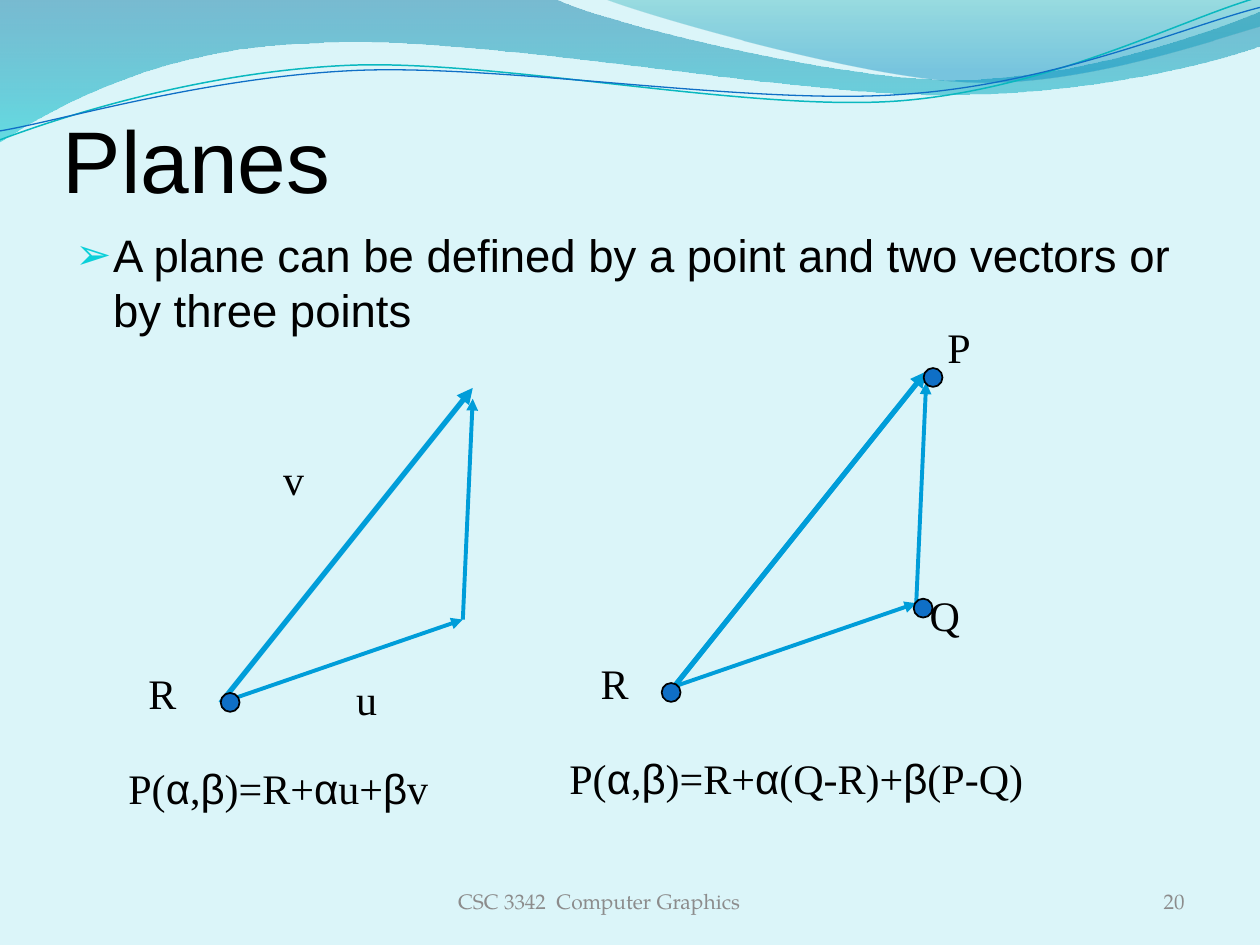
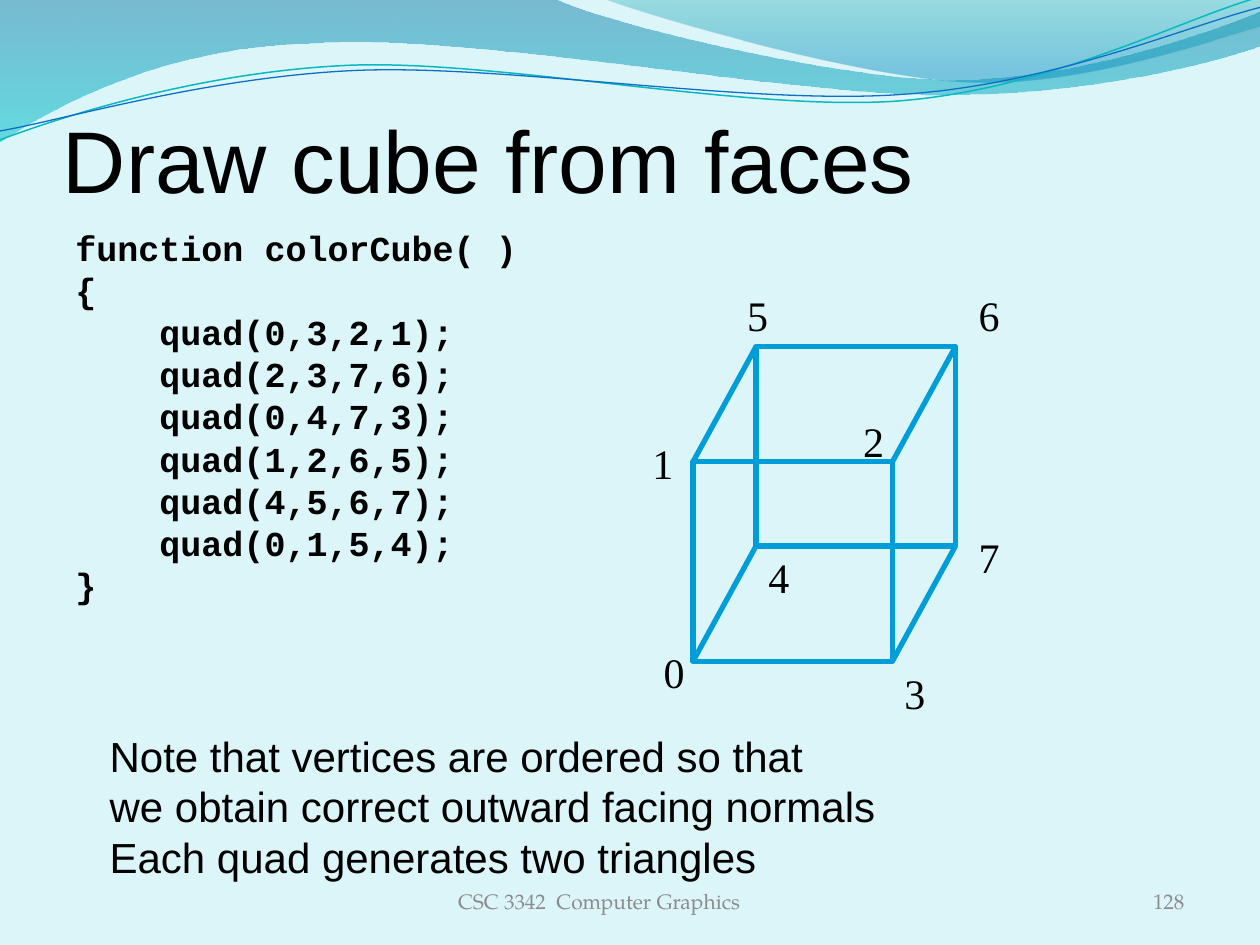
from dataclasses import dataclass
from itertools import chain, groupby, product

from lxml.etree import SubElement
from pptx import Presentation
from pptx.dml.color import RGBColor
from pptx.enum.shapes import MSO_CONNECTOR as Connector, MSO_SHAPE as Preset
from pptx.enum.text import MSO_ANCHOR as Anchor, MSO_AUTO_SIZE as AutoSize, PP_ALIGN as Align
from pptx.oxml.ns import qn
from pptx.util import Cm, Pt


@dataclass(frozen=True)
class Theme:
    background: str = "DBF5F9"
    ink: str = "000000"
    muted: str = "8C8C8C"
    bullet: str = "0BD0D9"
    stroke: str = "009DD9"
    dot: str = "0F6FC6"
    teal: str = "0AB8BF"
    band: tuple = ((0, "0074A1", 45), (1, "00C6CF", 55))
    crest: tuple = ((0, "00A1A9", 30), (0.8, "008BBF", 45))
    sans: str = "Arial"
    serif: str = "Times New Roman"
    mono: str = "Courier New"
    footer_font: str = "TeX Gyre Pagella"
    title_size: float = 50
    body_size: float = 26
    label_size: float = 24
    code_size: float = 20
    footer_size: float = 12
    leading: float = 1.2
    thick: float = 3
    medium: float = 2.25


BAND = [(0, 0), [(11.18, -0.03)],
        [(12.09, 0.43), (16.87, 1.6), (19.25, 1.6)],
        [(21.67, 1.6), (24.33, 0.66), (25.4, 0.23)],
        [(25.43, 0.91)],
        [(24.97, 1.12), (22.1, 1.93), (18.95, 1.91)],
        [(15.8, 1.91), (9.7, 0.71), (6.53, 0.86)],
        [(3.28, 0.91), (1.17, 2.11), (-0.03, 2.87)],
        [(0, 0)]]
CREST = [(12.17, -0.03),
         [(12.93, 0.28), (17.32, 1.57), (19.53, 1.65)],
         [(21.74, 1.75), (24.41, 0.81), (25.4, 0.53)],
         [(25.4, 0)],
         [(12.17, -0.03)]]
TEAL_WAVE = [(-0.05, 2.22),
             [(1.19, 1.82), (4.02, 1.04), (7.05, 1.05)],
             [(10.05, 1.07), (15.02, 2.37), (18.08, 2.29)],
             [(21.13, 2.2), (23.86, 0.91), (25.41, 0.55)]]
BLUE_WAVE = [(-0.04, 2.04),
             [(1.16, 1.9), (4.17, 1.15), (7.2, 1.16)],
             [(10.25, 1.18), (15.13, 2.25), (18.19, 2.16)],
             [(21.21, 2.1), (23.93, 1.06), (25.45, 0.75)]]

COLOR_CUBE = """function colorCube( )
{
    quad(0,3,2,1);
    quad(2,3,7,6);
    quad(0,4,7,3);
    quad(1,2,6,5);
    quad(4,5,6,7);
    quad(0,1,5,4);
}"""


def rgb(color):
    return RGBColor.from_string(color)


def bend(shape, segments):
    lines = iter(list(shape.element.iter(qn("a:lnTo"))))
    for segment in segments:
        nodes = [next(lines) for _ in segment]
        if len(nodes) == 3:
            curve = nodes[0].makeelement(qn("a:cubicBezTo"))
            nodes[0].addprevious(curve)
            for node in nodes:
                curve.append(node[0])
                node.getparent().remove(node)


class Deck:
    def __init__(self, theme):
        self.theme = theme
        self.presentation = Presentation()
        self.presentation.slide_width = Cm(25.4)
        self.presentation.slide_height = Cm(19.05)
        self.slide = None

    def start_slide(self, title, number):
        theme = self.theme
        self.slide = self.presentation.slides.add_slide(self.presentation.slide_layouts[6])
        background = self.slide.background.fill
        background.solid()
        background.fore_color.rgb = rgb(theme.background)
        self.gradient_wave(BAND, theme.band)
        self.gradient_wave(CREST, theme.crest)
        self.line_wave(TEAL_WAVE, theme.teal, 0.85)
        self.line_wave(BLUE_WAVE, theme.dot, 0.75)
        frame = self.text(title, 1.27, 1.07, 22.86, 3.18, theme.title_size, anchor=Anchor.BOTTOM)
        frame.margin_left = frame.margin_right = frame.margin_bottom = 0
        footer = dict(size=theme.footer_size, font=theme.footer_font, color=theme.muted, anchor=Anchor.MIDDLE)
        self.text("CSC 3342  Computer Graphics", 7.42, 17.65, 9.32, 1.02, align=Align.CENTER, **footer)
        self.text(str(number), 18.21, 17.65, 5.92, 1.02, align=Align.RIGHT, **footer)

    def freeform(self, outline, close):
        (x, y), *segments = outline
        builder = self.slide.shapes.build_freeform(Cm(x), Cm(y), scale=1.0)
        points = [(Cm(x), Cm(y)) for x, y in chain.from_iterable(segments)]
        builder.add_line_segments(points, close=close)
        shape = builder.convert_to_shape()
        shape.shadow.inherit = False
        bend(shape, segments)
        return shape

    def gradient_wave(self, outline, stops):
        shape = self.freeform(outline, True)
        shape.line.fill.background()
        shape.fill.gradient()
        shape.fill.gradient_angle = 270
        for stop, (position, color, _) in zip(shape.fill.gradient_stops, stops):
            stop.position = position
            stop.color.rgb = rgb(color)
        for element, (_, _, opacity) in zip(shape.element.iter(qn("a:srgbClr")), stops):
            SubElement(element, qn("a:alpha")).set("val", str(opacity * 1000))

    def line_wave(self, outline, color, width):
        shape = self.freeform(outline, False)
        shape.rotation = 357.3
        shape.fill.background()
        self.outline(shape, color, width)

    def outline(self, shape, color, width):
        shape.line.color.rgb = rgb(color)
        shape.line.width = Pt(width)

    def text(self, text, left, top, width, height, size, font=None, color=None, bold=False,
             align=Align.LEFT, anchor=Anchor.TOP, wrap=True, bullet=None):
        theme = self.theme
        frame = self.slide.shapes.add_textbox(Cm(left), Cm(top), Cm(width), Cm(height)).text_frame
        frame.word_wrap = wrap
        frame.auto_size = AutoSize.NONE if wrap else AutoSize.SHAPE_TO_FIT_TEXT
        frame.vertical_anchor = anchor
        frame.text = text
        for paragraph in frame.paragraphs:
            paragraph.alignment = align
            paragraph.line_spacing = Pt(size * theme.leading)
            if bullet:
                self.bullet(paragraph, bullet)
            paragraph.font.name = font or theme.sans
            paragraph.font.size = Pt(size)
            paragraph.font.bold = bold
            paragraph.font.color.rgb = rgb(color or theme.ink)
        return frame

    def bullet(self, paragraph, symbol):
        properties = paragraph._p.get_or_add_pPr()
        properties.set("marL", str(Cm(0.76)))
        properties.set("indent", str(-Cm(0.76)))
        color = SubElement(properties, qn("a:buClr"))
        SubElement(color, qn("a:srgbClr")).set("val", self.theme.bullet)
        SubElement(properties, qn("a:buSzPct")).set("val", "95000")
        SubElement(properties, qn("a:buFont")).set("typeface", self.theme.sans)
        SubElement(properties, qn("a:buChar")).set("char", symbol)

    def label(self, text, left, top, width=0.95):
        return self.text(text, left, top, width, 1.27, self.theme.label_size, self.theme.serif, wrap=False)

    def equation(self, text, left, top, width):
        paragraph = self.label("", left, top, width).paragraphs[0]
        for greek, letters in groupby(text, lambda letter: letter in "αβ"):
            run = paragraph.add_run()
            run.text = "".join(letters)
            run.font.name = self.theme.sans if greek else self.theme.serif

    def line(self, start, end, width, arrow=False):
        ends = [Cm(value) for value in (*start, *end)]
        connector = self.slide.shapes.add_connector(Connector.STRAIGHT, *ends)
        self.outline(connector, self.theme.stroke, width)
        if arrow:
            line = connector.element.find(".//" + qn("a:ln"))
            SubElement(line, qn("a:tailEnd")).set("type", "triangle")
        SubElement(connector.element.spPr, qn("a:effectLst"))

    def shape(self, preset, left, top, size):
        shape = self.slide.shapes.add_shape(preset, Cm(left), Cm(top), Cm(size), Cm(size))
        shape.shadow.inherit = False
        return shape

    def dot(self, left, top):
        shape = self.shape(Preset.OVAL, left, top, 0.38)
        shape.fill.solid()
        shape.fill.fore_color.rgb = rgb(self.theme.dot)
        self.outline(shape, self.theme.ink, 1)

    def square(self, left, top, side):
        shape = self.shape(Preset.RECTANGLE, left, top, side)
        shape.fill.background()
        self.outline(shape, self.theme.stroke, self.theme.thick)

    def vector_triangle(self, x, y):
        corner = (x + 4.88, y - 1.68)
        self.line((x, y), (x + 5.08, y - 6.35), self.theme.thick, arrow=True)
        self.line((x, y), corner, self.theme.medium, arrow=True)
        self.line(corner, (x + 5.08, y - 6.13), self.theme.medium, arrow=True)

    def cube(self, left, top, side, shift_x, shift_y):
        self.square(left + shift_x, top + shift_y, side)
        self.square(left, top, side)
        for x, y in product((left, left + side), (top, top + side)):
            self.line((x, y), (x + shift_x, y + shift_y), self.theme.thick)


def planes_slide(deck):
    deck.start_slide("Planes", 20)
    deck.text("A plane can be defined by a point and two vectors or by three points",
              1.27, 4.45, 22.86, 12.62, deck.theme.body_size, bullet="➢")
    deck.equation("P(α,β)=R+αu+βv", 2.34, 15.24, 6.6)
    deck.equation("P(α,β)=R+α(Q-R)+β(P-Q)", 11.23, 15.04, 9.7)
    deck.vector_triangle(4.45, 14.17)
    deck.vector_triangle(13.59, 13.84)
    for name, left, top in (("u", 6.93, 13.46), ("v", 5.46, 9.02), ("R", 2.74, 13.34),
                            ("P", 18.85, 6.35), ("R", 11.86, 13.13), ("Q", 18.49, 11.76)):
        deck.label(name, left, top, 0.95 if name.islower() else 1.07)
    for left, top in ((13.34, 13.77), (4.45, 13.97), (18.42, 12.07), (18.62, 7.42)):
        deck.dot(left, top)


def cube_slide(deck):
    theme = deck.theme
    deck.start_slide("Draw cube from faces", 128)
    deck.text(COLOR_CUBE, 1.27, 4.45, 22.86, 12.62, theme.code_size, theme.mono, bold=True)
    deck.cube(15.24, 6.99, 4.02, -1.27, 2.32)
    vertex_places = ((13.13, 12.9), (12.9, 8.69), (17.15, 8.26), (17.98, 13.34),
                     (15.24, 11), (14.81, 5.72), (19.48, 5.72), (19.48, 10.59))
    for vertex, place in enumerate(vertex_places):
        deck.label(str(vertex), *place)
    deck.text("Note that vertices are ordered so that\n"
              "we obtain correct outward facing normals\n"
              "Each quad generates two triangles",
              1.96, 14.6, 16.13, 3.33, theme.label_size, wrap=False)


def main():
    deck = Deck(Theme())
    planes_slide(deck)
    cube_slide(deck)
    deck.presentation.save("out.pptx")


if __name__ == "__main__":
    main()
